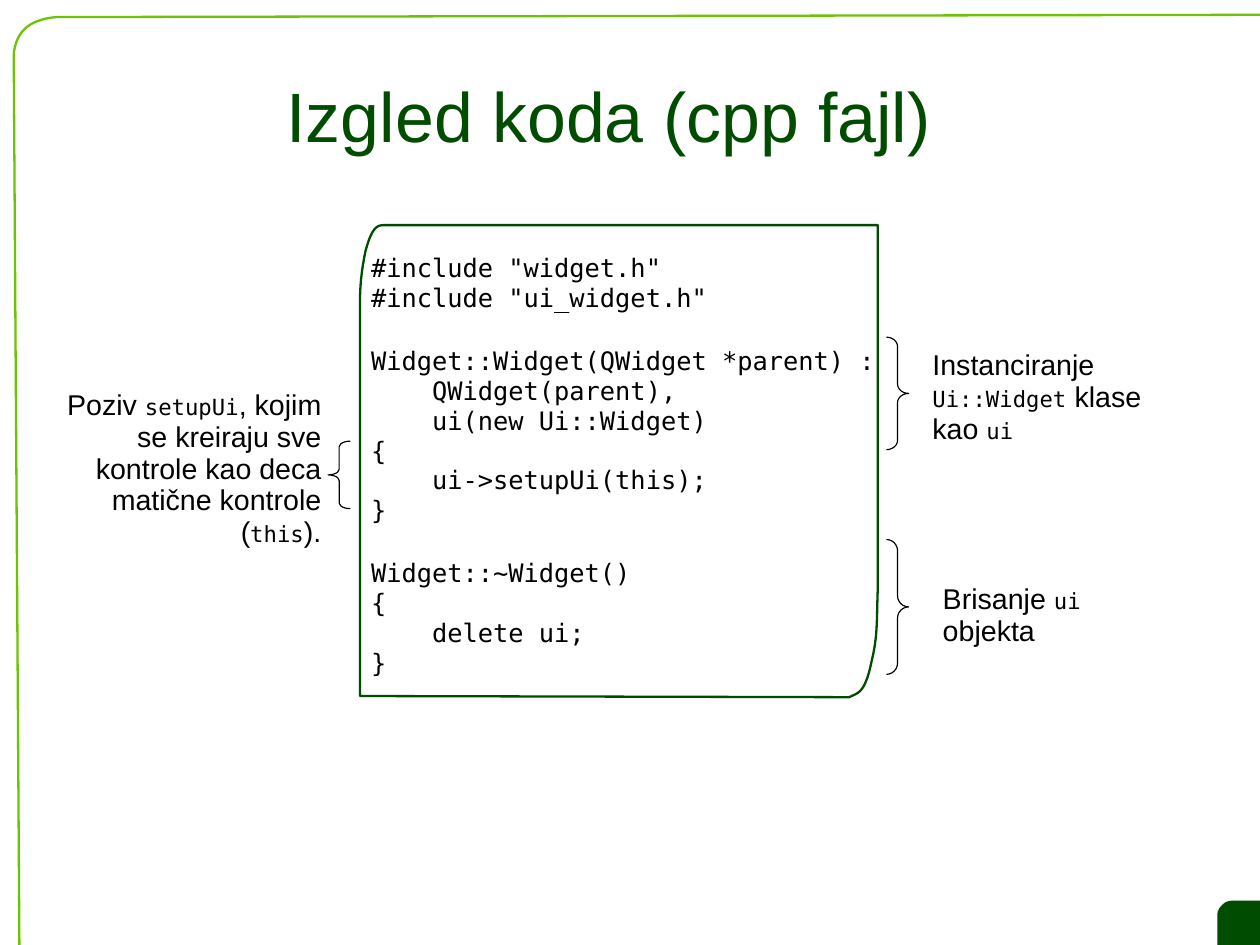
from pptx import Presentation
from pptx.dml.color import RGBColor
from pptx.enum.shapes import MSO_SHAPE
from pptx.enum.text import MSO_ANCHOR, PP_ALIGN
from pptx.util import Cm, Emu, Inches, Pt

CELL = Inches(0.1)
WIDTH, HEIGHT = Cm(28) / CELL, Cm(21) / CELL  # grid columns and rows
COLORS = {"dark": "004C00", "lime": "6DC400", "ink": "000000"}
BODY, MONO = "Arial", "DejaVu Sans Mono"
CURVE_STEPS = 12


def cells(count):
    return Emu(round(count * CELL))


def color(name):
    return RGBColor.from_string(COLORS[name])


def curve_points(start, control_1, control_2, end):
    """Points along a cubic curve, without its start."""
    for step in range(1, CURVE_STEPS + 1):
        t = step / CURVE_STEPS
        weights = ((1 - t) ** 3, 3 * t * (1 - t) ** 2, 3 * t * t * (1 - t), t ** 3)
        corners = (start, control_1, control_2, end)
        yield tuple(sum(w * c[axis] for w, c in zip(weights, corners)) for axis in (0, 1))


class SlideBuilder:
    def __init__(self, deck):
        self.page = deck.slides.add_slide(deck.slide_layouts[6])
        self.shapes = self.page.shapes

    def paint(self, shape, fill=None, line=None, weight=0.75):
        shape.shadow.inherit = False
        if fill:
            shape.fill.solid()
            shape.fill.fore_color.rgb = color(fill)
        else:
            shape.fill.background()
        if line:
            shape.line.color.rgb = color(line)
            shape.line.width = Pt(weight)
        else:
            shape.line.fill.background()

    def outline(self, start, steps, close=True, **style):
        """Each step lists line points, or the three points of a curve."""
        points = [start]
        for step in steps:
            points.extend(curve_points(points[-1], *step) if len(step) == 3 else step)
        places = [(cells(x), cells(y)) for x, y in points]
        builder = self.shapes.build_freeform(*places[0], scale=1.0)
        builder.add_line_segments(places[1:], close=close)
        self.paint(builder.convert_to_shape(), **style)

    def brace(self, kind, left, top, height, width=1.95):
        shape = self.shapes.add_shape(kind, *map(cells, (left, top, width, height)))
        shape.adjustments[0] = height / 12 / width
        self.paint(shape, line="ink")

    def text(self, place, paragraphs, size=18, font=BODY, ink="ink", align=PP_ALIGN.LEFT,
             spacing=0.93, insets=(1, 0.6, 1, 0.5), anchor=MSO_ANCHOR.TOP, wrap=False, gap=0):
        """A paragraph lists its spans: body text and code take turns.
        An empty paragraph stands for a gap before the next one."""
        frame = self.shapes.add_textbox(*map(cells, place)).text_frame
        frame.word_wrap = wrap
        frame.vertical_anchor = anchor
        (frame.margin_left, frame.margin_top,
         frame.margin_right, frame.margin_bottom) = map(cells, insets)
        para, before = frame.paragraphs[0], 0
        for spans in paragraphs:
            if not spans:
                before = gap
                continue
            if para.runs:
                para = frame.add_paragraph()
            para.alignment = align
            para.line_spacing = spacing
            if before:
                para.space_before = Pt(before)
                before = 0
            para.font.size, para.font.name = Pt(size), font
            para.font.color.rgb = color(ink)
            for index, words in enumerate(spans):
                if not words:
                    continue
                span = para.add_run()
                span.text = words
                if index % 2:
                    span.font.size, span.font.name = Pt(14), MONO


CODE = """#include "widget.h"
#include "ui_widget.h"

Widget::Widget(QWidget *parent) :
    QWidget(parent),
    ui(new Ui::Widget)
{
    ui->setupUi(this);
}

Widget::~Widget()
{
    delete ui;
}"""


def main():
    deck = Presentation()
    deck.slide_width, deck.slide_height = cells(WIDTH), cells(HEIGHT)
    slide = SlideBuilder(deck)

    # Page frame and corner tab
    slide.outline((106.5, HEIGHT), [
        [(106.5, 80.1)],
        [(106.5, 80), (106.5, 79.6), (106.9, 79.2)],
        [(107.3, 78.8), (107.6, 78.8), (108, 78.8)],
        [(WIDTH, 78.8), (WIDTH, HEIGHT)],
    ], fill="dark")
    slide.outline((WIDTH, 1.3), [
        [(5, 1.5)],
        [(4.9, 1.5), (3, 1.6), (2.1, 2.6)],
        [(1.2, 3.5), (1.2, 4.9), (1.2, 4.9)],
        [(1.7, HEIGHT)],
    ], close=False, line="lime", weight=1.45)

    # Title
    slide.text((17.5, 3.3, 71.6, 13.8), [["Izgled koda (cpp fajl)"]], size=44, ink="dark",
               align=PP_ALIGN.CENTER, insets=(0, 0.4, 0, 0), anchor=MSO_ANCHOR.MIDDLE, wrap=True)

    # Code listing
    slide.text((31.5, 21.6, 46, 37.6), [[row] if row else [] for row in CODE.split("\n")],
               size=16, font=MONO, spacing=0.98, insets=(1, 0.6, 0, 0.5), gap=21)

    # Braces
    slide.brace(MSO_SHAPE.LEFT_BRACE, 28.7, 38.6, 5.9)
    slide.brace(MSO_SHAPE.RIGHT_BRACE, 77.55, 29.5, 9.85)
    slide.brace(MSO_SHAPE.RIGHT_BRACE, 77.55, 47.2, 11.8)

    # Explanations
    slide.text((80.6, 30, 20.7, 9.4),
               [["Instanciranje"], ["", "Ui::Widget", " klase"], ["kao ", "ui"]])
    slide.text((81.5, 50.5, 17.6, 8.6), [["Brisanje ", "ui"], ["objekta"]])
    slide.text((4.7, 33.5, 24.4, 15),
               [["Poziv ", "setupUi", ", kojim se kreiraju sve kontrole kao deca matične kontrole (",
                 "this", ")."]], align=PP_ALIGN.RIGHT, wrap=True)

    # Code box outline
    slide.outline((33.7, 19.7), [
        [(76.8, 19.7), (76.8, 51.5)],
        [(76.7, 54.3), (76.8, 55.6), (76.3, 57.7)],
        [(75.7, 60.7), (75.1, 60.6), (74.3, 61)],
        [(31.5, 60.9), (31.5, 27.4)],
        [(31.5, 26.8), (31.4, 24.6), (32, 21.9)],
        [(32.6, 19.7), (33.1, 19.7), (33.7, 19.7)],
    ], line="dark", weight=1.45)

    deck.save("out.pptx")


if __name__ == "__main__":
    main()
